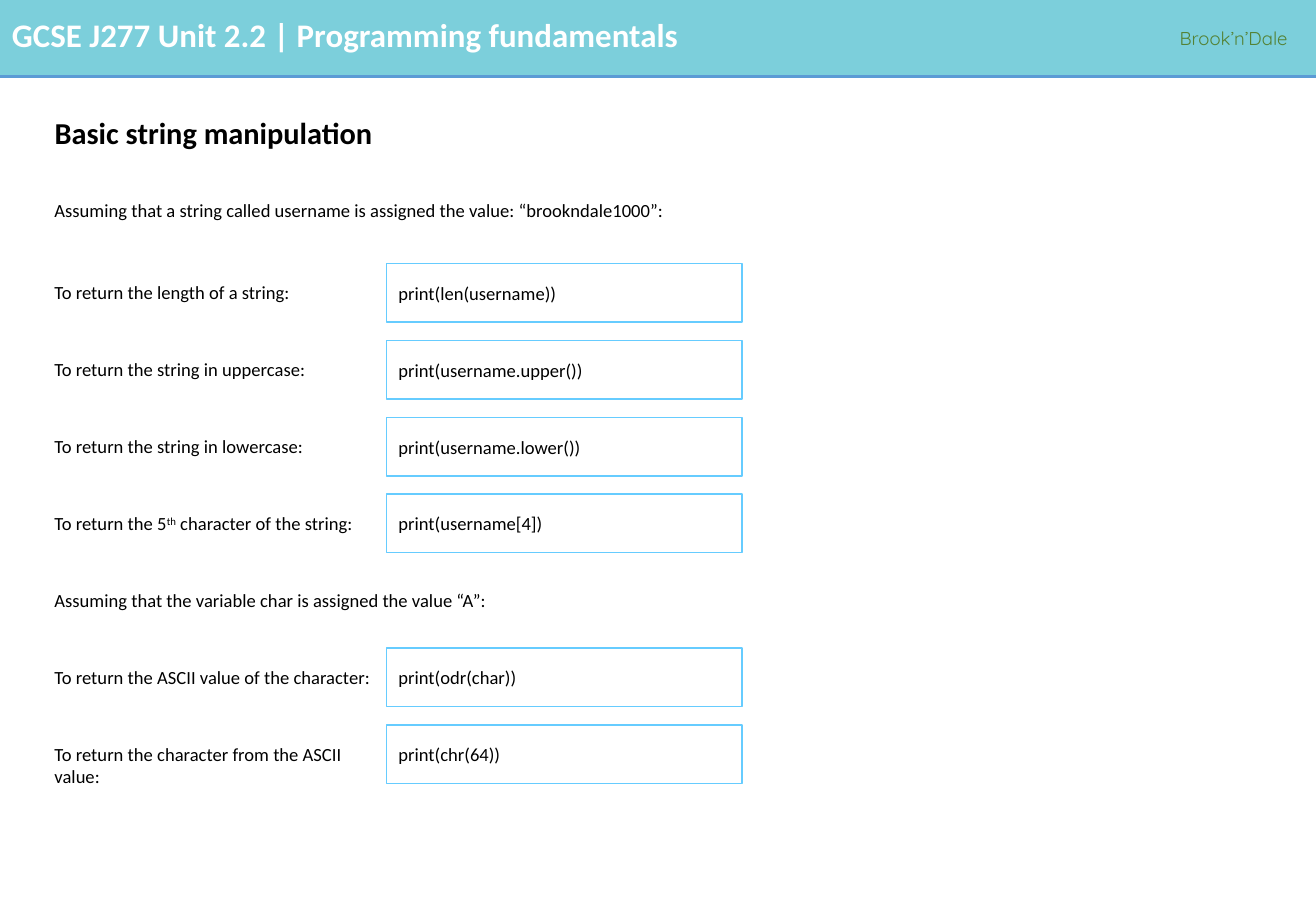
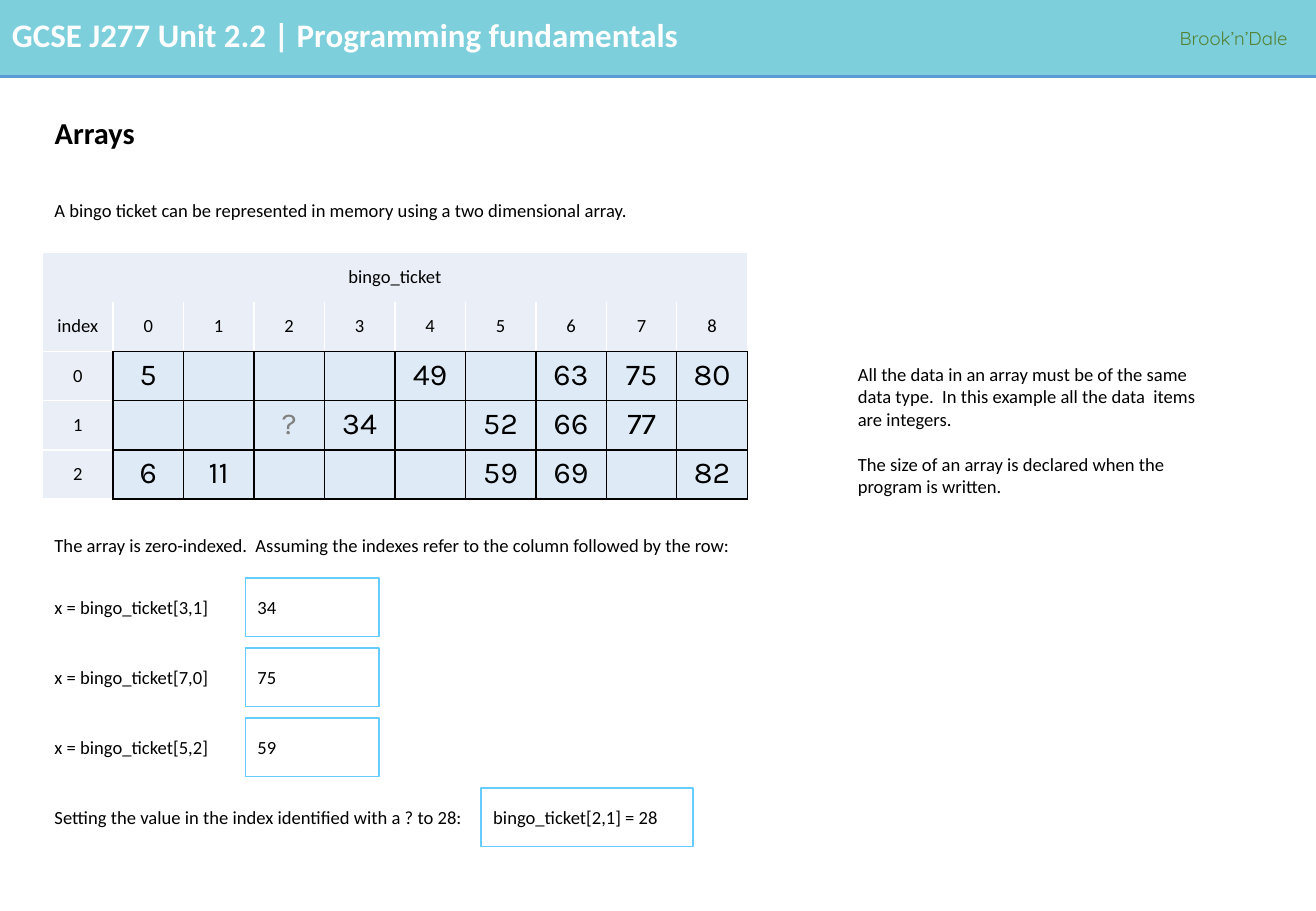
from dataclasses import dataclass
from typing import Optional

import lxml.etree
import pptx
import pptx.dml.color
import pptx.enum.shapes
import pptx.enum.text
import pptx.oxml.ns
import pptx.util

RGB = pptx.dml.color.RGBColor
ALIGN = pptx.enum.text.PP_ALIGN
ANCHOR = pptx.enum.text.MSO_ANCHOR
Pt = pptx.util.Pt
qn = pptx.oxml.ns.qn

# Colours and fonts
TEAL = RGB(0x7C, 0xCF, 0xDB)
BLUE = RGB(0x5B, 0x9B, 0xD5)
SKY = RGB(0x66, 0xCC, 0xFF)
GREEN = RGB(0x54, 0x82, 0x35)
HEAD_FILL = RGB(0xEA, 0xEF, 0xF7)
BODY_FILL = RGB(0xDE, 0xEB, 0xF7)
GREY = RGB(0x80, 0x80, 0x80)
WHITE = RGB(0xFF, 0xFF, 0xFF)
BLACK = RGB(0, 0, 0)
BODY_FONT, NUMBER_FONT, BRAND_FONT = "Calibri", "Karla", "Quicksand"

# Grid: 100 columns by 100 rows
W, H = pptx.util.Inches(10.83), pptx.util.Inches(7.5)
COL, ROW = W / 100, H / 100
LEFT, FULL = 3.23, 93.26
BAND_H, BOX_H, TEXT_H, LABEL_DROP = 8.4, 6.4, 3.87, 1.3


@dataclass(frozen=True)
class Style:
    size: float = 11
    font: str = BODY_FONT
    color: RGB = BLACK
    bold: bool = False


@dataclass(frozen=True)
class Run:
    text: str
    raised: bool = False


@dataclass(frozen=True)
class Area:
    x: float
    y: float
    w: float
    h: float = TEXT_H

    def emu(self) -> tuple[int, int, int, int]:
        return (round(self.x * COL), round(self.y * ROW),
                round(self.w * COL), round(self.h * ROW))


@dataclass(frozen=True)
class Answer:
    """A label with its answer box, on a numbered row."""
    row: int
    label: tuple[Run, ...]
    code: str
    box_x: float
    box_w: float


BODY = Style()
NUMBER = Style(18, NUMBER_FONT)
UNKNOWN = Style(18, NUMBER_FONT, GREY)
TITLE = Style(18, bold=True)
UNIT = Style(19.5, color=WHITE, bold=True)
BRAND = Style(font=BRAND_FONT, color=GREEN)


def write(p, runs: tuple[Run, ...], style: Style) -> None:
    for run in runs:
        r = p.add_run()
        r.text = run.text
        r.font.size, r.font.name = Pt(style.size), style.font
        r.font.bold, r.font.color.rgb = style.bold, style.color
        if run.raised:
            r._r.get_or_add_rPr().set("baseline", "30000")


def add_text(s, area: Area, *paragraphs: tuple[Run, ...],
             style: Style = BODY, wrap: bool = True, gap: float = 0):
    tf = s.shapes.add_textbox(*area.emu()).text_frame
    tf.word_wrap = wrap
    for i, runs in enumerate(paragraphs):
        p = tf.add_paragraph() if i else tf.paragraphs[0]
        p.space_before = Pt(gap if i else 0)
        write(p, runs, style)
    return tf


def add_rect(s, area: Area, fill: Optional[RGB] = None,
             line: Optional[RGB] = None):
    sp = s.shapes.add_shape(pptx.enum.shapes.MSO_SHAPE.RECTANGLE, *area.emu())
    sp.shadow.inherit = False
    if fill is None:
        sp.fill.background()
    else:
        sp.fill.solid()
        sp.fill.fore_color.rgb = fill
    if line is None:
        sp.line.fill.background()
    else:
        sp.line.color.rgb, sp.line.width = line, Pt(1)
    return sp


def add_page(prs, title: str):
    """A slide with the shared band, unit name, brand and title."""
    s = prs.slides.add_slide(prs.slide_layouts[5])
    add_rect(s, Area(0, 0, 100, BAND_H), fill=TEAL)
    y = round(BAND_H * ROW)
    rule = s.shapes.add_connector(
        pptx.enum.shapes.MSO_CONNECTOR.STRAIGHT, 0, y, W, y)
    rule.line.color.rgb, rule.line.width = BLUE, Pt(2.25)
    lxml.etree.SubElement(rule._element.spPr, qn("a:effectLst"))
    add_text(s, Area(0, 0.93, 87.53, 5.73),
             (Run("GCSE J277 Unit 2.2 | Programming fundamentals"),), style=UNIT)
    add_text(s, Area(88.73, 2.27, 11.27), (Run("Brook’n’Dale"),),
             style=BRAND, wrap=False)

    sp = s.shapes.title
    sp.left, sp.top, sp.width, sp.height = Area(LEFT, 11.07, FULL, 7.47).emu()
    tf = sp.text_frame
    tf.auto_size = pptx.enum.text.MSO_AUTO_SIZE.NONE
    tf.vertical_anchor = ANCHOR.MIDDLE
    p = tf.paragraphs[0]
    p.alignment, p.line_spacing = ALIGN.LEFT, 0.9
    write(p, (Run(title),), TITLE)
    return s


def add_answers(s, answers: list[Answer], first: float, last: float) -> None:
    """Space the rows evenly from the first box top to the last."""
    pitch = (last - first) / max(a.row for a in answers)
    for a in answers:
        y = first + a.row * pitch
        add_text(s, Area(LEFT, y + LABEL_DROP, a.box_x - LEFT), a.label)
        sp = add_rect(s, Area(a.box_x, y, a.box_w, BOX_H), line=SKY)
        tf = sp.text_frame
        tf.vertical_anchor = ANCHOR.MIDDLE
        p = tf.paragraphs[0]
        p.alignment = ALIGN.LEFT
        write(p, (Run(a.code),), BODY)


def format_cell(cell, text: str, style: Style, fill: RGB, anchor,
                borders: tuple[Optional[RGB], ...]) -> None:
    """Borders run left, right, top, bottom; None hides the side."""
    tcPr = cell._tc.get_or_add_tcPr()
    for side, color in zip("LRTB", borders):
        ln = lxml.etree.SubElement(tcPr, qn(f"a:ln{side}"), w=str(Pt(1)))
        if color is None:
            lxml.etree.SubElement(ln, qn("a:noFill"))
        else:
            solid = lxml.etree.SubElement(ln, qn("a:solidFill"))
            lxml.etree.SubElement(solid, qn("a:srgbClr"), val=str(color))
    cell.fill.solid()
    cell.fill.fore_color.rgb = fill
    cell.vertical_anchor = anchor
    p = cell.text_frame.paragraphs[0]
    p.alignment = ALIGN.CENTER
    if text:
        write(p, (Run(text),), style)


def add_ticket(s, area: Area, name: str, numbers: list[list[str]]) -> None:
    columns = len(numbers[0])
    rows = [[name] + [""] * columns,
            ["index"] + [str(i) for i in range(columns)]]
    rows += [[str(i)] + line for i, line in enumerate(numbers)]
    table = s.shapes.add_table(len(rows), columns + 1, *area.emu()).table
    table.first_row = table.horz_banding = False
    for i, line in enumerate(rows):
        for j, text in enumerate(line):
            style, fill, anchor = BODY, HEAD_FILL, ANCHOR.MIDDLE
            if i == 0:
                borders = (None,) * 4
            elif i == 1:
                borders = (WHITE, WHITE, None, BLACK if j else WHITE)
            elif j == 0:
                borders = (WHITE, BLACK, WHITE, WHITE)
            else:
                style = UNKNOWN if text == "?" else NUMBER
                fill, anchor = BODY_FILL, ANCHOR.TOP
                borders = (BLACK,) * 4
            format_cell(table.cell(i, j), text, style, fill, anchor, borders)
    table.cell(0, 0).merge(table.cell(0, columns))


def build_strings(prs) -> None:
    s = add_page(prs, "Basic string manipulation")
    add_text(s, Area(LEFT, 21.2, FULL), (Run(
        "Assuming that a string called username is assigned the value: "
        "“brookndale1000”:"),))
    # Row 4 holds the second introduction
    first, last = 28.93, 79.6
    add_text(s, Area(LEFT, first + 4 * (last - first) / 6 + LABEL_DROP, FULL),
             (Run("Assuming that the variable char is assigned the value “A”:"),))
    fifth = (Run("To return the 5"), Run("th", raised=True),
             Run(" character of the string:"))
    examples = [
        (0, (Run("To return the length of a string:"),), "print(len(username))"),
        (1, (Run("To return the string in uppercase:"),), "print(username.upper())"),
        (2, (Run("To return the string in lowercase:"),), "print(username.lower())"),
        (3, fifth, "print(username[4])"),
        (5, (Run("To return the ASCII value of the character:"),), "print(odr(char))"),
        (6, (Run("To return the character from the ASCII value:"),), "print(chr(64))"),
    ]
    add_answers(s, [Answer(*e, 29.36, 27.05) for e in examples], first, last)


def build_arrays(prs) -> None:
    s = add_page(prs, "Arrays")
    add_text(s, Area(LEFT, 21.2, FULL), (Run(
        "A bingo ticket can be represented in memory using a two dimensional "
        "array."),))
    add_ticket(s, Area(LEFT, 27.73, 53.55, 27.07), "bingo_ticket", [
        ["5", "", "", "", "49", "", "63", "75", "80"],
        ["", "", "?", "34", "", "52", "66", "77", ""],
        ["6", "11", "", "", "", "59", "69", "", "82"],
    ])
    add_text(s, Area(LEFT, 58, FULL), (Run(
        "The array is zero-indexed.  Assuming the indexes refer to the column "
        "followed by the row:"),))
    # Look-ups, then the assignment
    lookups = [("3,1", "34"), ("7,0", "75"), ("5,2", "59")]
    answers = [Answer(i, (Run(f"x = bingo_ticket[{index}]"),), value, 18.65, 10.16)
               for i, (index, value) in enumerate(lookups)]
    answers.append(Answer(3, (Run(
        "Setting the value in the index identified with a ? to 28:"),),
        "bingo_ticket[2,1] = 28", 36.57, 16.07))
    add_answers(s, answers, 63.47, 86.53)
    # Side note
    add_text(s, Area(64.27, 39.2, 28.35, 16.13),
             (Run("All the data in an array must be of the same data type.  "
                  "In this example all the data  items are integers."),),
             (Run("The size of an array is declared when the program is "
                  "written."),), gap=13.4)


def main() -> None:
    prs = pptx.Presentation()
    prs.slide_width, prs.slide_height = W, H
    build_strings(prs)
    build_arrays(prs)
    prs.save("out.pptx")


if __name__ == "__main__":
    main()
